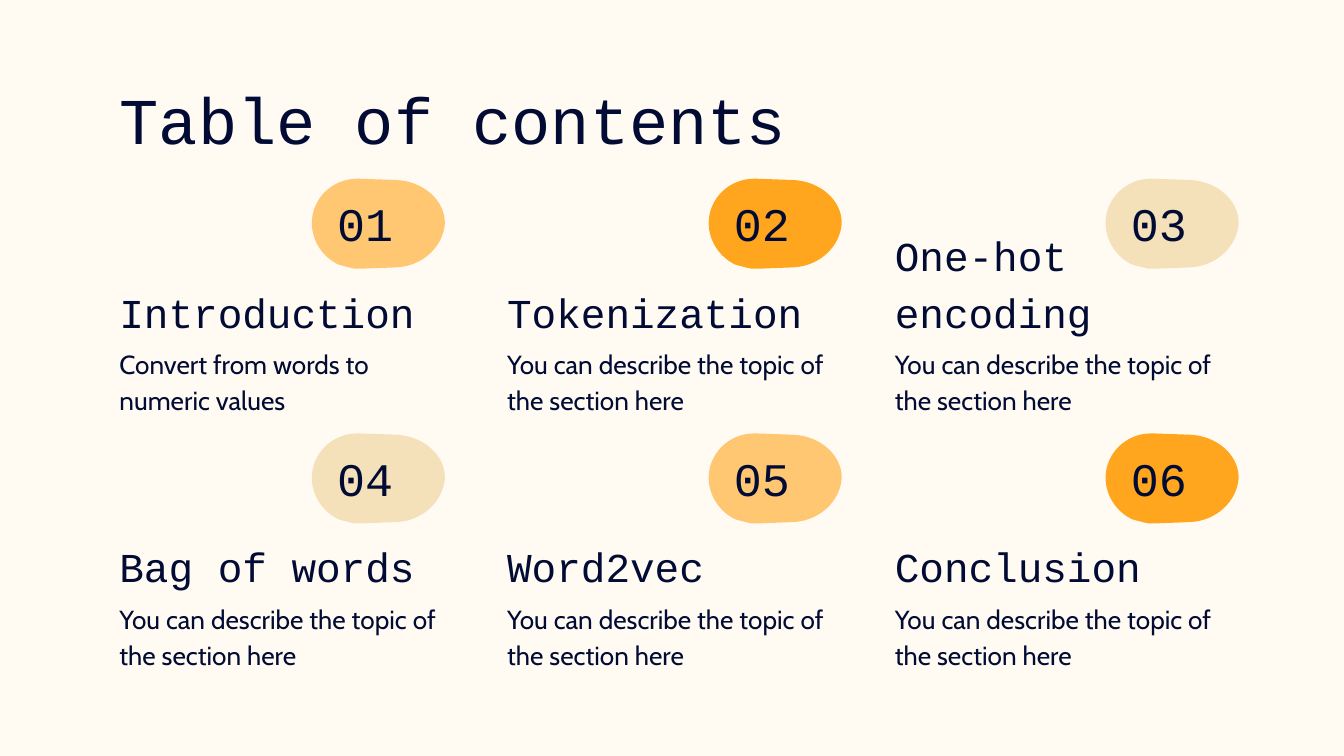
from lxml.etree import SubElement as Sub
from pptx import Presentation
from pptx.dml.color import RGBColor as Rgb
from pptx.enum.text import MSO_ANCHOR as Anchor, MSO_AUTO_SIZE as Fit, PP_ALIGN as Align
from pptx.oxml.ns import qn
from pptx.util import Inches, Pt

HUES = {"page": "FFFBF3", "ink": "010B33", "peach": "FFC772",
        "orange": "FFA51E", "cream": "F4E0B9"}
CYCLE = ["peach", "orange", "cream"]
MONO, SANS = "Courier New", "Cabin"
CELL = Inches(0.01)
WIDE, HIGH = 1000, 562.5
LEFT, SPAN = 79, 843
COL, ROW = 288.5, 189.5
BADGE = 295.3

TOPIC = "You can describe the topic of the section here"
ITEMS = [
    ("Introduction", "Convert from words to numeric values"),
    ("Tokenization", TOPIC),
    ("One-hot encoding", TOPIC),
    ("Bag of words", TOPIC),
    ("Word2vec", TOPIC),
    ("Conclusion", TOPIC),
]

BLOB = (99, 67)
CURVES = [
    ("moveTo", [(34, 0)]),
    ("cubicBezTo", [(15, 0), (0, 15), (0, 33)]),
    ("cubicBezTo", [(0, 47), (9, 59), (20, 64)]),
    ("cubicBezTo", [(20, 64), (27, 66), (32, 67)]),
    ("cubicBezTo", [(33, 67), (34, 67), (34, 67)]),
    ("cubicBezTo", [(35, 67), (35, 67), (36, 67)]),
    ("lnTo", [(63, 66)]),
    ("cubicBezTo", [(83, 65), (98, 50), (99, 33)]),
    ("cubicBezTo", [(99, 16), (83, 2), (63, 1)]),
    ("lnTo", [(35, 0)]),
    ("cubicBezTo", [(35, 0), (35, 0), (34, 0)]),
    ("close", []),
]


def scale(*cells):
    return [round(n * CELL) for n in cells]


def tint(name):
    return Rgb.from_string(HUES[name])


def write(shape, text, size=14, font=SANS, anchor=Anchor.TOP, lead=None):
    frame = shape.text_frame
    frame.word_wrap = True
    frame.auto_size = Fit.NONE
    frame.vertical_anchor = anchor
    frame.margin_left = frame.margin_right = Inches(0.1)
    frame.margin_top = frame.margin_bottom = Inches(0.1)
    line = frame.paragraphs[0]
    line.alignment = Align.LEFT
    line.line_spacing = lead
    run = line.add_run()
    run.text = text
    run.font.size = Pt(size)
    run.font.name = font
    run.font.color.rgb = tint("ink")


def label(slide, box, text, **style):
    write(slide.shapes.add_textbox(*scale(*box)), text, **style)


def curve(blob):
    trace = next(blob.element.iter(qn("a:path")))
    for part in list(trace):
        trace.remove(part)
    for kind, dots in CURVES:
        step = Sub(trace, qn(f"a:{kind}"))
        for x, y in dots:
            Sub(step, qn("a:pt"), x=str(x), y=str(y))


def badge(slide, x, y, text, hue):
    w, h = BLOB
    form = slide.shapes.build_freeform(0, 0, scale=CELL)
    form.add_line_segments([(w, 0), (w, h), (0, h)], close=True)
    blob = form.convert_to_shape(*scale(x, y))
    curve(blob)
    blob.shadow.inherit = False
    blob.fill.solid()
    blob.fill.fore_color.rgb = tint(hue)
    blob.line.fill.background()
    label(slide, (x + 9, y + 8.6, 80, 49), text,
          size=25, font=MONO, anchor=Anchor.MIDDLE)


def entry(slide, x, y, head, body):
    label(slide, (x, y, 265, 52.6), head,
          size=22, font=MONO, anchor=Anchor.BOTTOM, lead=1.15)
    label(slide, (x, y + 38.3, 265, 63), body, lead=1.15)


def heading(slide, box, text):
    title = slide.shapes.title
    title.left, title.top, title.width, title.height = scale(*box)
    write(title, text, size=35, font=MONO)


def contents(slide, x, y):
    for i, (head, body) in enumerate(ITEMS):
        row, col = divmod(i, 3)
        top = y + row * ROW
        hue = CYCLE[(col - row) % 3]
        badge(slide, x + 153 + col * BADGE, top, f"{i + 1:02}", hue)
        entry(slide, x + col * COL, top + 74.7, head, body)


def main():
    deck = Presentation()
    deck.slide_width, deck.slide_height = scale(WIDE, HIGH)
    slide = deck.slides.add_slide(deck.slide_layouts[5])
    slide.background.fill.solid()
    slide.background.fill.fore_color.rgb = tint("page")
    heading(slide, (LEFT, 49, SPAN, 63), "Table of contents")
    contents(slide, LEFT, 133)
    deck.save("out.pptx")


if __name__ == "__main__":
    main()
